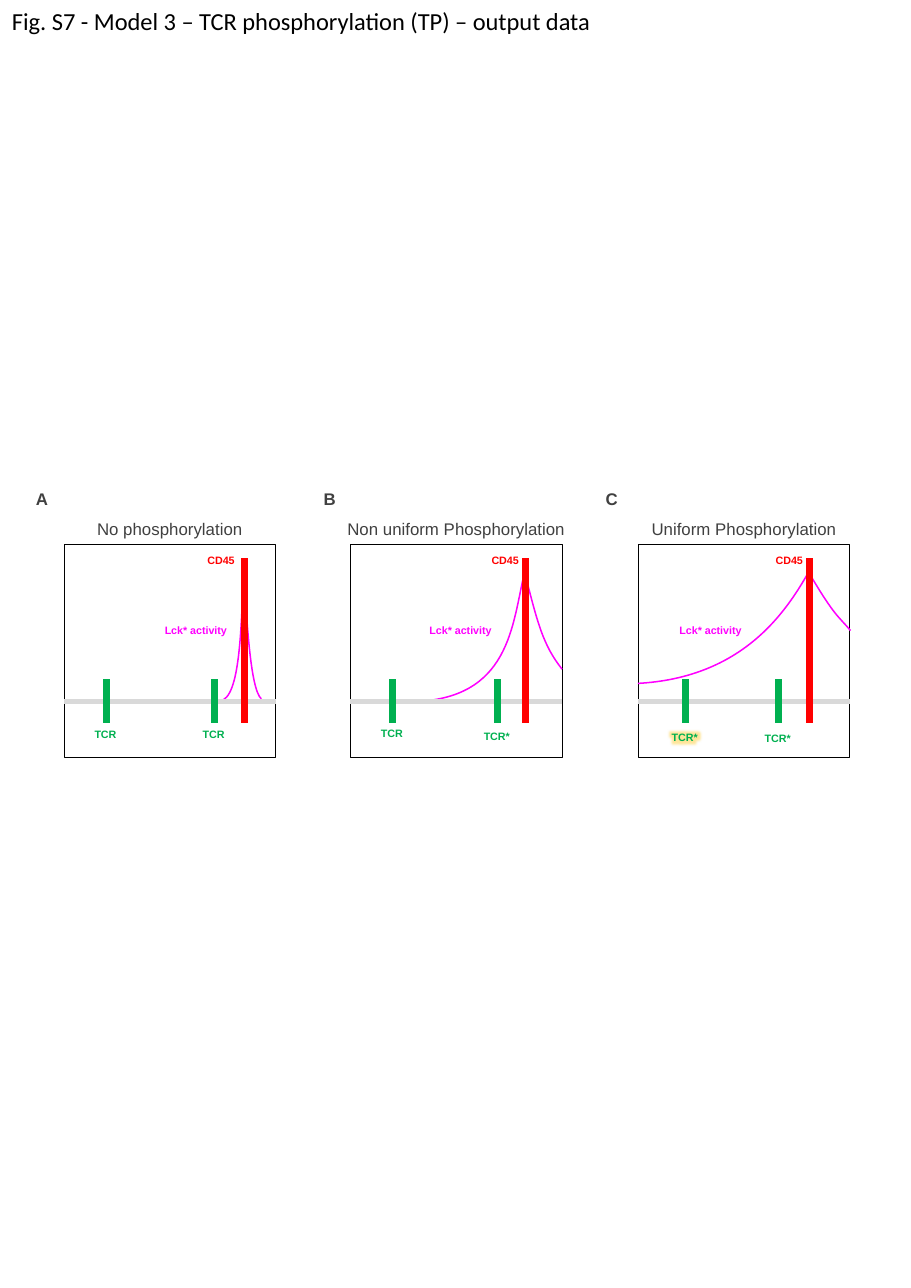
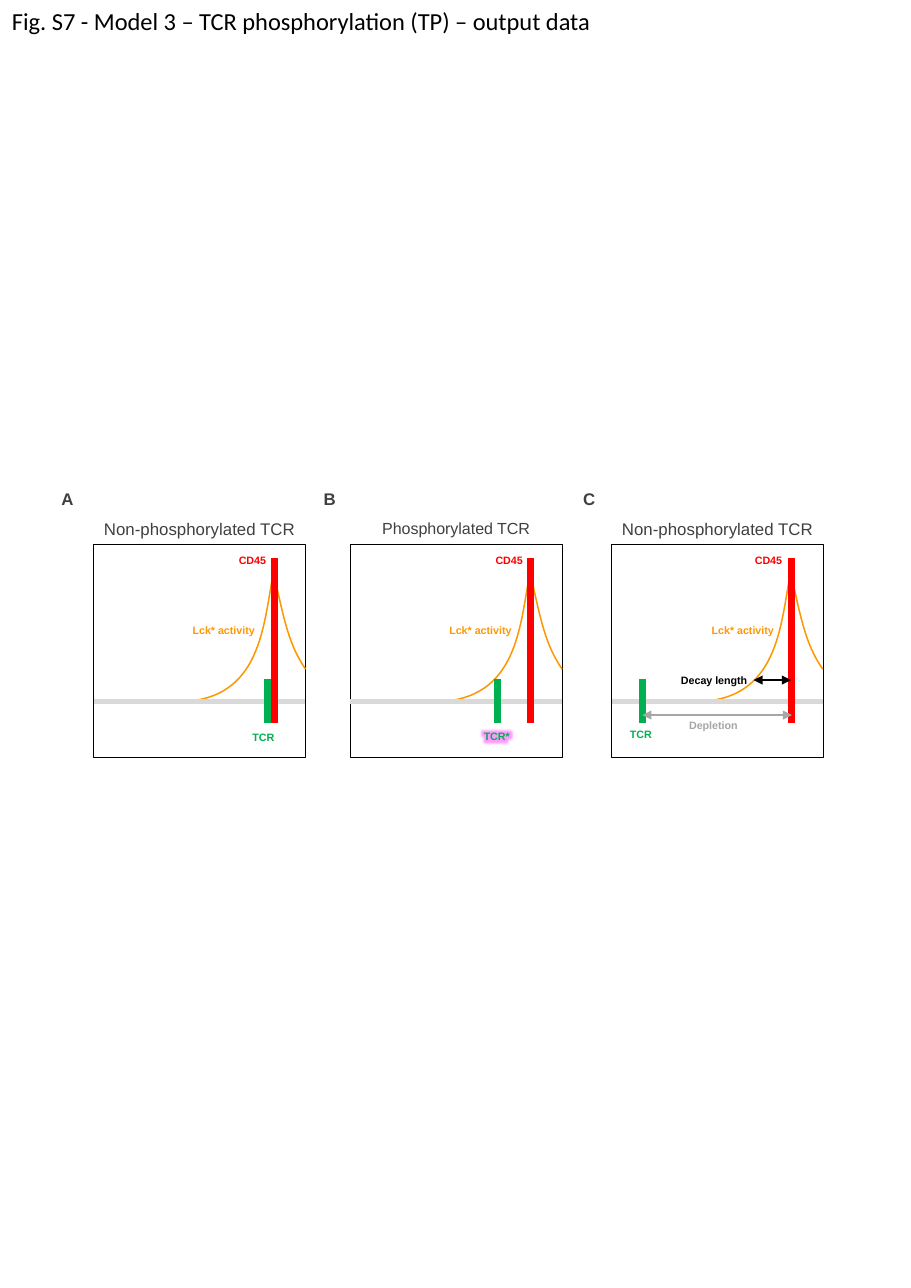
"""Build two slides of TCR phosphorylation panels, each with an activity curve peaking at CD45."""
from dataclasses import dataclass
from typing import Optional

from lxml.etree import SubElement
from pptx import Presentation
from pptx.dml.color import RGBColor as Rgb
from pptx.enum.shapes import MSO_CONNECTOR as Connector, MSO_SHAPE as Preset
from pptx.enum.text import MSO_AUTO_SIZE as AutoSize, PP_ALIGN as Align
from pptx.oxml.ns import qn
from pptx.util import Pt

COLORS = {
    "black": "000000",
    "title": "404040",
    "cd45": "FF0000",
    "tcr": "00B050",
    "magenta": "FF00FF",
    "orange": "FD9803",
    "membrane": "D9D9D9",
    "depletion": "A6A6A6",
    "gold": "FFC000",
}
HEADING = "Fig. S7 - Model 3 – TCR phosphorylation (TP) – output data"
FRAME_TOP, FRAME_WIDTH, FRAME_HEIGHT = 355.9, 138.4, 139
LETTER_TOP, TITLE_TOP = 316.1, 335.5
CD45_LABEL_TOP, ACTIVITY_LABEL_TOP = 358.6, 404.3
CD45_TOP, PEAK_Y, TCR_TOP, MEMBRANE_Y, BAR_BOTTOM = 364.9, 373.9, 444, 458.5, 472.8
LABEL_HEIGHT, TITLE_HEIGHT = 15.8, 20.9

Bends = tuple[tuple[float, float], tuple[float, float]]
STEEP: Bends = ((0.11, 0.4), (0.12, 0.99))
SPILL: Bends = ((0.35, 0.53), (0.49, 0.75))


@dataclass(frozen=True)
class Branch:
    """One side of the curve: reach and drop from the peak, and bends as shares of both."""

    reach: float
    drop: float
    bends: Bends


@dataclass(frozen=True)
class Receptor:
    """A TCR bar with its label below."""

    x: float
    label: str
    label_top: float
    label_shift: float = 0
    glow: Optional[str] = None


@dataclass(frozen=True)
class Span:
    """A labelled double-headed arrow."""

    start: float
    end: float
    y: float
    label: str
    label_left: float
    label_top: float
    label_width: float
    color: str


@dataclass(frozen=True)
class Panel:
    """One framed diagram."""

    letter: str
    letter_left: float
    left: float
    title: str
    title_width: float
    cd45_x: float
    cd45_label_left: float
    activity_left: float
    branches: tuple[Branch, Branch]
    receptors: tuple[Receptor, ...]
    spans: tuple[Span, ...] = ()
    title_size: float = 11


MEDIUM = (Branch(-61.5, 84.6, STEEP), Branch(20.9, 63.4, SPILL))
PAGES = {
    "magenta": (
        Panel("A", 13, 41.8, "No phosphorylation", 110.2, 159.8, 128.5, 100.6,
              (Branch(-15.8, 84.2, STEEP), Branch(11.5, 82.8, ((0.19, 0.4), (0.38, 0.92)))),
              (Receptor(69.8, "TCR", 472.3, -0.7), Receptor(140.5, "TCR", 472, -0.7))),
        Panel("B", 201.2, 229, "Non uniform Phosphorylation", 157.7, 343.4, 314.2, 273.6,
              (Branch(-74.5, 84.6, STEEP), Branch(24.5, 63.4, SPILL)),
              (Receptor(256.3, "TCR", 471.6), Receptor(325, "TCR*", 473.5))),
        Panel("C", 385.4, 417.1, "Uniform Phosphorylation", 136.1, 529, 499.9, 437,
              (Branch(-111.6, 72.7, ((0.15, 0.41), (0.41, 0.95))),
               Branch(27.4, 38.2, ((0.63, 0.77), (0.71, 0.75)))),
              (Receptor(447.8, "TCR*", 474, glow="gold"), Receptor(508.6, "TCR*", 474.5))),
    ),
    "orange": (
        Panel("A", 29.7, 61.2, "Non-phosphorylated TCR", 140.4, 179.3, 149, 118.8, MEDIUM,
              (Receptor(175, "TCR", 473.8, -2.7),)),
        Panel("B", 201.2, 229, "Phosphorylated TCR", 113, 347, 316.8, 286.6, MEDIUM,
              (Receptor(325, "TCR*", 473.5, glow="magenta"),), title_size=10.5),
        Panel("C", 370.8, 399.8, "Non-phosphorylated TCR", 140.4, 517.3, 486.3, 458.1, MEDIUM,
              (Receptor(419.8, "TCR", 472.3, -0.7),),
              (Span(492.5, 517, 444.4, "Decay length", 438, 436.5, 58.3, "black"),
               Span(419.8, 517.7, 467.3, "Depletion", 443.3, 466.4, 46.8, "depletion"))),
    ),
}


def rgb(name: str) -> Rgb:
    """Look up a named colour."""
    return Rgb.from_string(COLORS[name])


def add_text(page, text: str, left: float, top: float, width: float, height: float = LABEL_HEIGHT, *,
             size: float = 7, color: str = "black", font: str = "Arial", bold: bool = True,
             align: Align = Align.LEFT, wrap: bool = False, glow: Optional[str] = None) -> None:
    """Place one line of text."""
    box = page.shapes.add_textbox(Pt(left), Pt(top), Pt(width), Pt(height))
    frame = box.text_frame
    frame.word_wrap = wrap
    frame.auto_size = AutoSize.SHAPE_TO_FIT_TEXT
    para = frame.paragraphs[0]
    para.alignment = align
    span = para.add_run()
    span.text = text
    span.font.size, span.font.bold, span.font.name = Pt(size), bold, font
    span.font.color.rgb = rgb(color)
    if glow:
        props = span.font._element
        effects = SubElement(props, qn("a:effectLst"))
        halo = SubElement(effects, qn("a:glow"), rad=str(Pt(11)))
        tint = SubElement(halo, qn("a:srgbClr"), val=COLORS[glow])
        SubElement(tint, qn("a:alpha"), val="40000")
        props.find(qn("a:solidFill")).addnext(effects)


def add_line(page, start: tuple[float, float], end: tuple[float, float], color: str,
             width: float, arrows: bool = False) -> None:
    """Draw a straight line, with arrowheads at both ends if asked."""
    line = page.shapes.add_connector(Connector.STRAIGHT, *(Pt(value) for value in start + end))
    line.line.color.rgb = rgb(color)
    line.line.width = Pt(width)
    if arrows:
        for tag in ("a:headEnd", "a:tailEnd"):
            SubElement(line.line._get_or_add_ln(), qn(tag), type="triangle")
    SubElement(line._element.spPr, qn("a:effectLst"))


def add_outline(shape, color: str, width: float) -> None:
    """Leave a shape unfilled with a plain outline."""
    shape.shadow.inherit = False
    shape.fill.background()
    shape.line.color.rgb = rgb(color)
    shape.line.width = Pt(width)


def add_branch(page, peak_x: float, branch: Branch, color: str) -> None:
    """Draw one side of the activity curve as a single cubic segment."""
    points = [(Pt(peak_x + branch.reach * across), Pt(PEAK_Y + branch.drop * down))
              for across, down in (*branch.bends, (1, 1))]
    builder = page.shapes.build_freeform(Pt(peak_x), Pt(PEAK_Y))
    builder.add_line_segments(points, close=False)
    shape = builder.convert_to_shape()
    outline = next(shape._element.iter(qn("a:path")))
    segments = outline.findall(qn("a:lnTo"))
    cubic = SubElement(outline, qn("a:cubicBezTo"))
    for segment in segments:
        cubic.append(segment[0])
        outline.remove(segment)
    add_outline(shape, color, 1)


def add_receptor(page, receptor: Receptor) -> None:
    """Draw a TCR bar above and below the membrane, and its label."""
    for top, bottom in ((TCR_TOP, MEMBRANE_Y), (MEMBRANE_Y, BAR_BOTTOM)):
        add_line(page, (receptor.x, top), (receptor.x, bottom), "tcr", 4.5)
    width = 31.7 if receptor.label.endswith("*") else 28.8
    add_text(page, receptor.label, receptor.x + receptor.label_shift - width / 2,
             receptor.label_top, width, color="tcr", glow=receptor.glow)


def add_panel(page, panel: Panel, activity: str) -> None:
    """Draw one framed diagram with its letter and title."""
    middle = panel.left + FRAME_WIDTH / 2
    add_text(page, panel.letter, panel.letter_left, LETTER_TOP, 28.8, TITLE_HEIGHT,
             size=11, color="title", align=Align.CENTER, wrap=True)
    add_text(page, panel.title, middle - panel.title_width / 2, TITLE_TOP, panel.title_width,
             TITLE_HEIGHT, size=panel.title_size, color="title", bold=False, align=Align.CENTER)
    add_text(page, "CD45", panel.cd45_label_left, CD45_LABEL_TOP, 32.4, color="cd45")
    add_text(page, "Lck* activity", panel.activity_left, ACTIVITY_LABEL_TOP, 56.2, color=activity)
    frame = page.shapes.add_shape(Preset.RECTANGLE, Pt(panel.left), Pt(FRAME_TOP),
                                  Pt(FRAME_WIDTH), Pt(FRAME_HEIGHT))
    add_outline(frame, "black", 0.5)
    for branch in panel.branches:
        add_branch(page, panel.cd45_x - 0.5, branch, activity)
    add_line(page, (panel.left + FRAME_WIDTH, MEMBRANE_Y), (panel.left, MEMBRANE_Y), "membrane", 3)
    add_line(page, (panel.cd45_x, CD45_TOP), (panel.cd45_x, BAR_BOTTOM), "cd45", 4.5)
    for receptor in panel.receptors:
        add_receptor(page, receptor)
    for span in panel.spans:
        add_line(page, (span.start, span.y), (span.end, span.y), span.color, 1, arrows=True)
        add_text(page, span.label, span.label_left, span.label_top, span.label_width, color=span.color)


def main() -> None:
    """Build and save the deck."""
    deck = Presentation()
    deck.slide_width, deck.slide_height = Pt(595.44), Pt(841.68)
    for activity, panels in PAGES.items():
        page = deck.slides.add_slide(deck.slide_layouts[6])
        add_text(page, HEADING, 0.7, 0.7, 397.4, 26.6, size=16, font="Calibri", bold=False)
        for panel in panels:
            add_panel(page, panel, activity)
    deck.save("out.pptx")


main()
